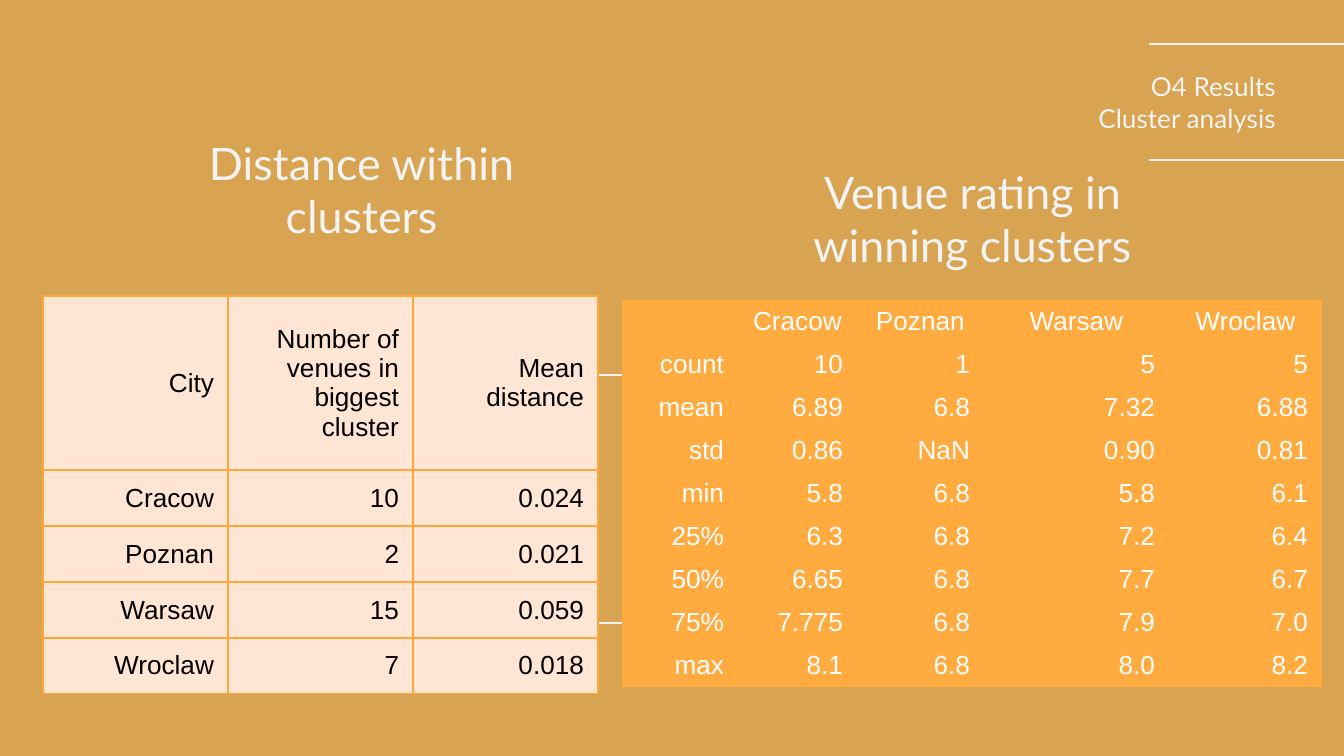
from lxml.etree import SubElement as Sub
from pptx import Presentation
from pptx.dml.color import RGBColor
from pptx.enum.shapes import MSO_CONNECTOR as Conn, MSO_SHAPE as Kind
from pptx.enum.text import MSO_ANCHOR as Anchor, MSO_AUTO_SIZE as Auto, PP_ALIGN as Align
from pptx.oxml.ns import qn
from pptx.util import Emu, Pt

INK = {"back": "D8A451", "pale": "F3F3F3", "peach": "FFE5D3", "edge": "FEA83A",
       "orange": "FFAB40", "white": "FFFFFF", "black": "000000"}

# placeholder index: text, box, size, alignment
HEADS = {
    0: ("O4 Results\vCluster analysis", (1004, 16, 285, 172), 14, Align.RIGHT),
    1: ("Distance within clusters", (156, 120, 411, 138), 24, Align.CENTER),
    3: ("Venue rating in winning clusters", (767, 149, 411, 138), 24, Align.CENTER),
}
FRAMES = [(155, 375, 489, 248), (700, 375, 489, 248)]
RULES = [44, 160]
RULE_X = 1149, 1344

DISTANCE = {
    "at": (43, 296), "cols": [185] * 3, "rows": [174] + [56] * 4,
    "fill": "peach", "text": "black", "edge": "edge", "head": Align.RIGHT,
    "data": [
        ("City", "Number of venues in biggest cluster", "Mean distance"),
        ("Cracow", "10", "0.024"),
        ("Poznan", "2", "0.021"),
        ("Warsaw", "15", "0.059"),
        ("Wroclaw", "7", "0.018"),
    ],
}
RATING = {
    "at": (622, 300), "cols": [116, 119, 127, 185, 153], "rows": [43] * 9,
    "fill": "orange", "text": "white", "edge": None, "head": Align.CENTER,
    "data": [
        ("", "Cracow", "Poznan", "Warsaw", "Wroclaw"),
        ("count", "10", "1", "5", "5"),
        ("mean", "6.89", "6.8", "7.32", "6.88"),
        ("std", "0.86", "NaN", "0.90", "0.81"),
        ("min", "5.8", "6.8", "5.8", "6.1"),
        ("25%", "6.3", "6.8", "7.2", "6.4"),
        ("50%", "6.65", "6.8", "7.7", "6.7"),
        ("75%", "7.775", "6.8", "7.9", "7.0"),
        ("max", "8.1", "6.8", "8.0", "8.2"),
    ],
}


def px(*nums):
    return [Emu(round(n * 9144000 / 1344)) for n in nums]


def rgb(name):
    return RGBColor.from_string(INK[name])


def put(obj, **vals):
    """Set each named attribute of obj."""
    for key, val in vals.items():
        setattr(obj, key, val)


def style(par, size, face, ink, align):
    put(par, alignment=align, space_before=Pt(0))
    put(par.font, size=Pt(size), name=face, bold=False)
    par.font.color.rgb = rgb(ink)


def stroke(shape):
    shape.line.color.rgb = rgb("pale")
    shape.line.width = Pt(1.5)


def border(cell, ink):
    """Draw all four sides of a cell, or clear them when ink is None."""
    props = cell._tc.get_or_add_tcPr()
    for side in "LRTB":
        line = Sub(props, qn("a:ln" + side), w=str(Pt(0.75)))
        if ink:
            Sub(Sub(line, qn("a:solidFill")), qn("a:srgbClr"), val=INK[ink])
        else:
            Sub(line, qn("a:noFill"))


def add_grid(slide, grid):
    cols, rows = grid["cols"], grid["rows"]
    box = px(*grid["at"], sum(cols), sum(rows))
    table = slide.shapes.add_table(len(rows), len(cols), *box).table
    put(table, first_row=False, horz_banding=False)
    for col, wide in zip(table.columns, px(*cols)):
        col.width = wide
    for row, high in zip(table.rows, px(*rows)):
        row.height = high
    side, top = px(14, 4)
    for r, line in enumerate(grid["data"]):
        for c, text in enumerate(line):
            cell = table.cell(r, c)
            put(cell, text=text, vertical_anchor=Anchor.MIDDLE, margin_left=side,
                margin_right=side, margin_top=top, margin_bottom=top)
            border(cell, grid["edge"])
            cell.fill.solid()
            cell.fill.fore_color.rgb = rgb(grid["fill"])
            align = Align.RIGHT if r else grid["head"]
            style(cell.text_frame.paragraphs[0], 14, "Arial", grid["text"], align)


def main():
    deck = Presentation()
    deck.slide_width, deck.slide_height = px(1344, 756)
    slide = deck.slides.add_slide(deck.slide_layouts.get_by_name("Comparison"))
    slide.background.fill.solid()
    slide.background.fill.fore_color.rgb = rgb("back")

    pad, = px(13)
    for hold in list(slide.placeholders):
        key = hold.placeholder_format.idx
        if key not in HEADS:
            hold.element.getparent().remove(hold.element)
            continue
        text, box, size, align = HEADS[key]
        put(hold, **dict(zip(("left", "top", "width", "height"), px(*box))))
        frame = hold.text_frame
        put(frame, text=text, word_wrap=True, auto_size=Auto.NONE,
            vertical_anchor=Anchor.MIDDLE, margin_left=pad, margin_right=pad,
            margin_top=pad, margin_bottom=pad)
        style(frame.paragraphs[0], size, "Lato", "pale", align)

    for box in FRAMES:
        rect = slide.shapes.add_shape(Kind.RECTANGLE, *px(*box))
        rect.shadow.inherit = False
        rect.fill.background()
        stroke(rect)
    for y in RULES:
        rule = slide.shapes.add_connector(
            Conn.STRAIGHT, *px(RULE_X[0], y, RULE_X[1], y))
        stroke(rule)
        Sub(rule.element.spPr, qn("a:effectLst"))

    for grid in (DISTANCE, RATING):
        add_grid(slide, grid)
    deck.save("out.pptx")


if __name__ == "__main__":
    main()
